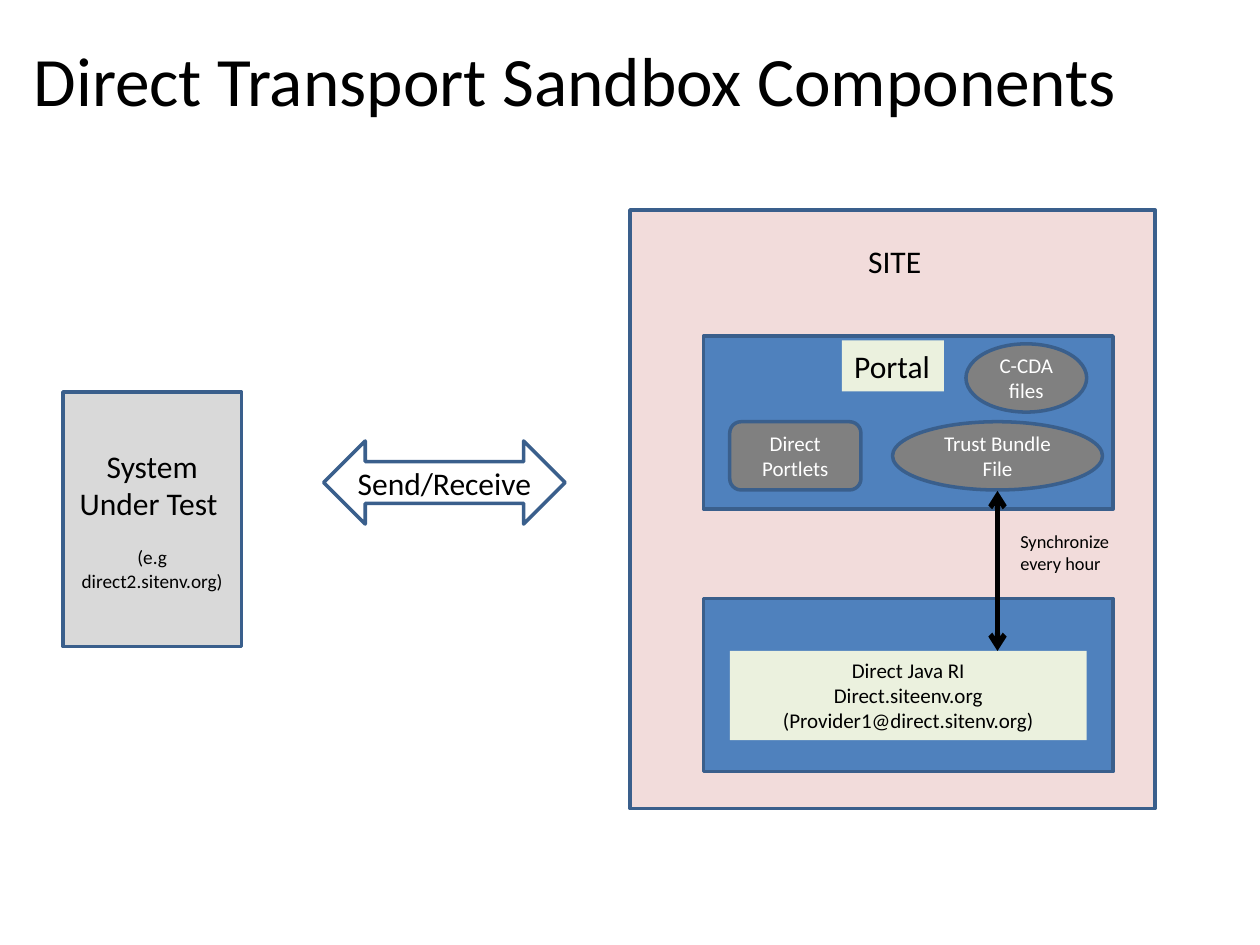
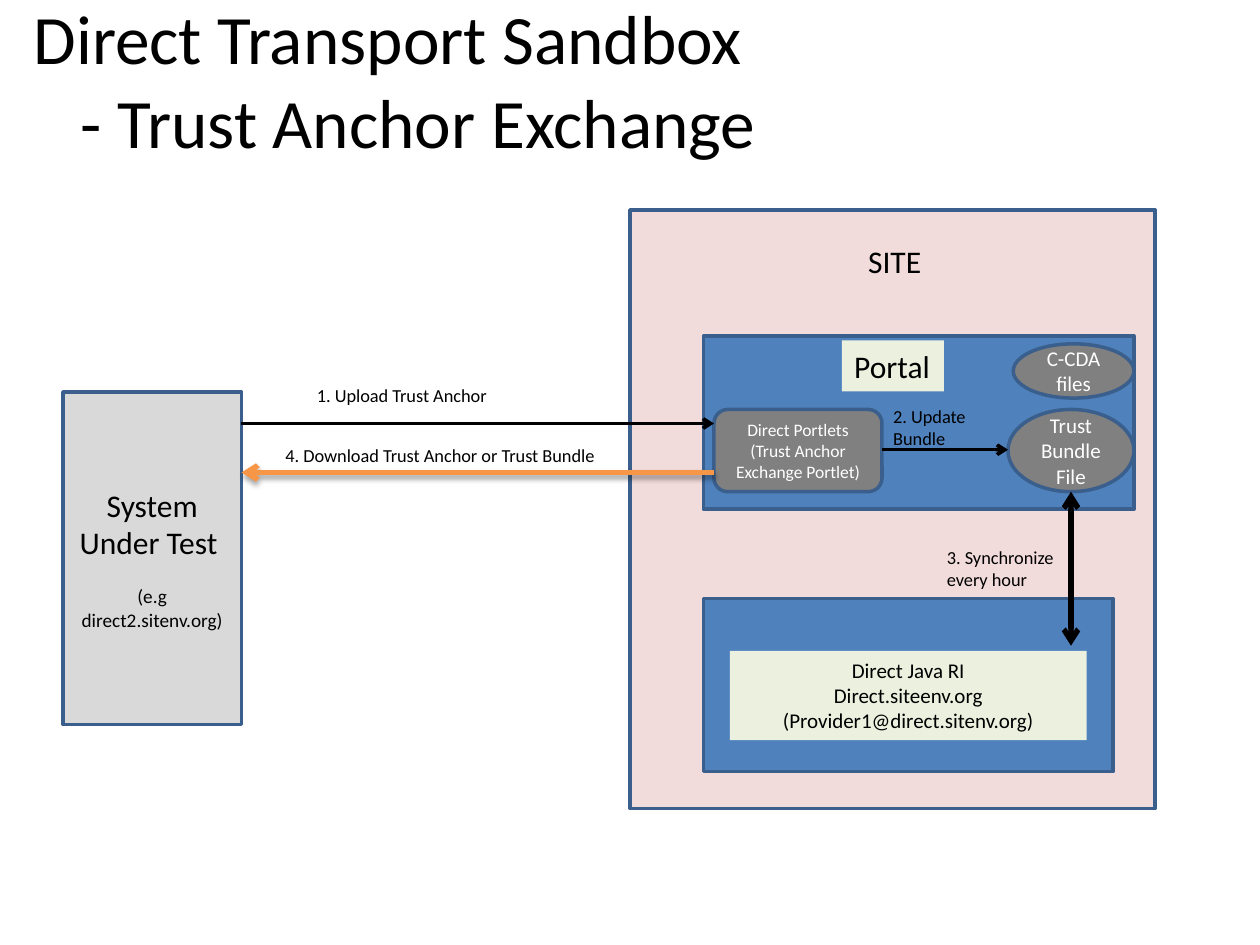
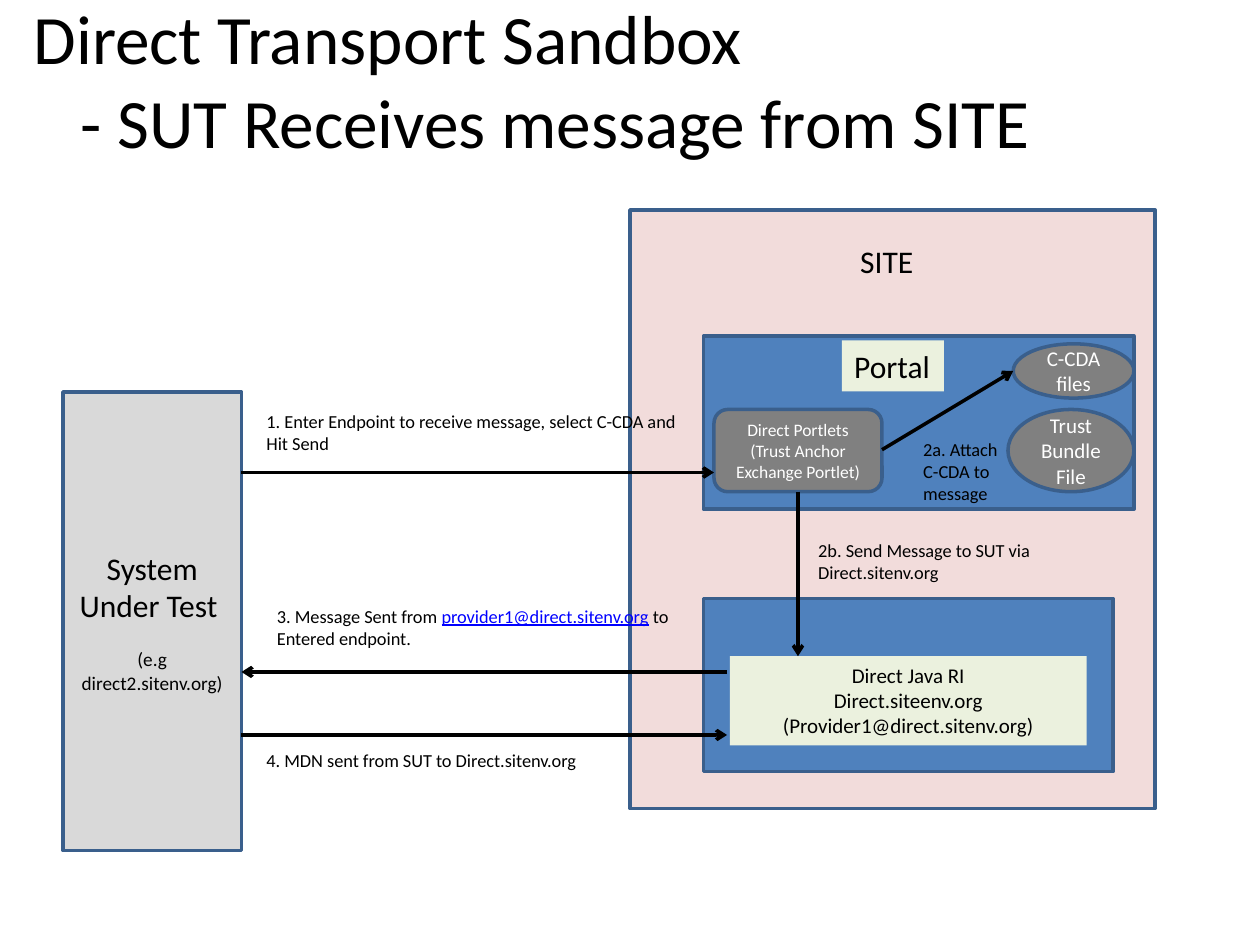
from dataclasses import dataclass
from typing import NamedTuple

from lxml.etree import SubElement
from pptx import Presentation
from pptx.dml.color import RGBColor
from pptx.enum.shapes import MSO_CONNECTOR, MSO_SHAPE
from pptx.enum.text import MSO_ANCHOR, MSO_AUTO_SIZE, PP_ALIGN
from pptx.oxml.ns import qn
from pptx.util import Pt

# Shared look
FONT = "Calibri"
BLACK, WHITE, LINK_BLUE = "000000", "FFFFFF", "0000FF"
OUTLINE, PINK, BLUE = "3A5F8C", "F2DCDB", "4F81BD"
CREAM, GREY, LIGHT_GREY, ORANGE = "EBF1DE", "808080", "D9D9D9", "F79646"
TITLE_SIZE, HEADING_SIZE, BODY_SIZE, NOTE_SIZE = 39.6, 18, 12, 10.5
TITLE_INDENT = 27
SYSTEM_LEFT, SYSTEM_TOP, SYSTEM_WIDTH = 36, 224, 102
SYSTEM_RIGHT = SYSTEM_LEFT + SYSTEM_WIDTH
LINK = "provider1@direct.sitenv.org"


class Area(NamedTuple):
    left: float
    top: float
    width: float
    height: float

    def lengths(self) -> list:
        return [Pt(value) for value in self]


@dataclass
class Box:
    """A filled shape with centred text."""
    area: Area
    fill: str | None = None
    lines: tuple[str, ...] = ()
    kind: MSO_SHAPE = MSO_SHAPE.RECTANGLE
    size: float = BODY_SIZE
    color: str = BLACK
    outlined: bool = True


@dataclass
class Label:
    """A text box that stands free or has a plain fill."""
    area: Area
    lines: tuple[str, ...]
    wrap: bool = True
    size: float = NOTE_SIZE
    fill: str | None = None
    align: PP_ALIGN = PP_ALIGN.LEFT


@dataclass
class Arrow:
    start: tuple[float, float]
    end: tuple[float, float]
    width: float = 2
    color: str = BLACK
    both_ends: bool = False
    shadow: bool = False


@dataclass
class Scene:
    """One slide: what differs between the three diagrams."""
    title: tuple[str, ...]
    system_height: float
    portal_width: float
    portlets: Box
    trust_bundle: Area
    files: Area
    labels: list[Label]
    arrows: list[Arrow]
    java_top: float = 372
    site_label_left: float = 489
    title_width: float = 690
    exchange: Box | None = None


def rgb(color: str) -> RGBColor:
    return RGBColor.from_string(color)


def write_text(shape, lines, size: float, color: str, align: PP_ALIGN) -> None:
    frame = shape.text_frame
    for index, line in enumerate(lines):
        paragraph = frame.paragraphs[0] if index == 0 else frame.add_paragraph()
        paragraph.alignment = align
        paragraph.font.name = FONT
        paragraph.font.size = Pt(size)
        paragraph.font.color.rgb = rgb(color)
        for part in filter(None, line.partition(LINK)):
            run = paragraph.add_run()
            run.text = part
            if part == LINK:
                run.font.color.rgb = rgb(LINK_BLUE)
                run.font.underline = True


def add_title(slide, scene: Scene) -> None:
    title = slide.shapes.title
    title.left, title.top, title.width, title.height = Area(12, 18, scene.title_width, 54).lengths()
    title.text_frame.auto_size = MSO_AUTO_SIZE.NONE
    title.text_frame.vertical_anchor = MSO_ANCHOR.MIDDLE
    write_text(title, scene.title, TITLE_SIZE, BLACK, PP_ALIGN.LEFT)
    for paragraph in title.text_frame.paragraphs:
        paragraph.space_before = Pt(0)
    for paragraph in title.text_frame.paragraphs[1:]:
        paragraph._p.get_or_add_pPr().set("marL", str(Pt(TITLE_INDENT)))


def add_box(slide, box: Box):
    shape = slide.shapes.add_shape(box.kind, *box.area.lengths())
    shape.shadow.inherit = False
    if box.fill:
        shape.fill.solid()
        shape.fill.fore_color.rgb = rgb(box.fill)
    else:
        shape.fill.background()
    shape.line.color.rgb = rgb(OUTLINE)
    shape.line.width = Pt(2)
    shape.text_frame.vertical_anchor = MSO_ANCHOR.MIDDLE
    write_text(shape, box.lines, box.size, box.color, PP_ALIGN.CENTER)
    return shape


def add_label(slide, label: Label) -> None:
    shape = slide.shapes.add_textbox(*label.area.lengths())
    if label.fill:
        shape.fill.solid()
        shape.fill.fore_color.rgb = rgb(label.fill)
    shape.text_frame.word_wrap = label.wrap
    shape.text_frame.auto_size = MSO_AUTO_SIZE.SHAPE_TO_FIT_TEXT
    write_text(shape, label.lines, label.size, BLACK, label.align)


def add_arrow(slide, arrow: Arrow) -> None:
    points = [Pt(value) for value in (*arrow.start, *arrow.end)]
    connector = slide.shapes.add_connector(MSO_CONNECTOR.STRAIGHT, *points)
    connector.line.color.rgb = rgb(arrow.color)
    connector.line.width = Pt(arrow.width)
    line = connector.line._get_or_add_ln()
    for end in ("a:headEnd", "a:tailEnd") if arrow.both_ends else ("a:tailEnd",):
        SubElement(line, qn(end), type="arrow")
    effects = SubElement(connector._element.spPr, qn("a:effectLst"))
    if arrow.shadow:
        shadow = SubElement(effects, qn("a:outerShdw"), blurRad=str(Pt(3.1)),
                            dist=str(Pt(1.8)), dir="5400000", rotWithShape="0")
        color = SubElement(shadow, qn("a:srgbClr"), val=BLACK)
        SubElement(color, qn("a:alpha"), val="35000")


def add_system(slide, height: float) -> None:
    area = Area(SYSTEM_LEFT, SYSTEM_TOP, SYSTEM_WIDTH, height)
    lines = ("System Under Test ", "(e.g direct2.sitenv.org)")
    shape = add_box(slide, Box(area, LIGHT_GREY, lines, size=HEADING_SIZE))
    example = shape.text_frame.paragraphs[1]
    example.font.size = Pt(11)
    example.space_before = Pt(13.4)


def add_site(slide, scene: Scene) -> None:
    # Nested panels
    add_box(slide, Box(Area(360, 120, 300, 342), PINK))
    add_box(slide, Box(Area(402, 192, scene.portal_width, 99), BLUE))
    add_box(slide, Box(Area(402, 342, 234, 99), BLUE))
    # Panel names
    add_label(slide, Label(Area(scene.site_label_left, 134.7, 45.4, 29.1), ("SITE",),
                           wrap=False, size=HEADING_SIZE))
    add_label(slide, Label(Area(481, 194.5, 58.3, 29.1), ("Portal",),
                           wrap=False, size=HEADING_SIZE, fill=CREAM))
    add_label(slide, Label(Area(417, scene.java_top, 204, 51),
                           ("Direct Java RI", "Direct.siteenv.org", "(Provider1@direct.sitenv.org)"),
                           size=BODY_SIZE, fill=CREAM, align=PP_ALIGN.CENTER))
    # Portal contents
    add_box(slide, scene.portlets)
    for area, text in ((scene.trust_bundle, "Trust Bundle File"), (scene.files, "C-CDA files")):
        add_box(slide, Box(area, GREY, (text,), MSO_SHAPE.OVAL, color=WHITE))


def add_scene(presentation, scene: Scene) -> None:
    slide = presentation.slides.add_slide(presentation.slide_layouts[5])
    add_title(slide, scene)
    add_site(slide, scene)
    add_system(slide, scene.system_height)
    if scene.exchange:
        add_box(slide, scene.exchange)
    for arrow in scene.arrows:
        add_arrow(slide, arrow)
    for label in scene.labels:
        add_label(slide, label)


# Portal contents of the two message flow slides
FLOW_PORTLETS = Box(Area(408, 234, 96, 47), GREY,
                    ("Direct Portlets", "(Trust Anchor Exchange Portlet)"),
                    MSO_SHAPE.ROUNDED_RECTANGLE, size=10, color=WHITE)
FLOW_TRUST_BUNDLE = Area(576, 234, 72, 47)
FLOW_FILES = Area(579, 196.5, 69, 31)

SCENES = [
    Scene(
        title=("Direct Transport Sandbox Components",),
        system_height=145.5,
        portal_width=234,
        portlets=Box(Area(417, 241, 75, 39), GREY, ("Direct Portlets",),
                     MSO_SHAPE.ROUNDED_RECTANGLE, color=WHITE),
        trust_bundle=Area(510, 241, 120, 39),
        files=Area(552, 196.5, 69, 39),
        exchange=Box(Area(185, 252, 138, 47.5), None, ("Send/Receive",),
                     MSO_SHAPE.LEFT_RIGHT_ARROW, size=HEADING_SIZE),
        arrows=[Arrow((570, 372), (570, 280.5), width=3, both_ends=True)],
        labels=[Label(Area(576, 299.5, 72, 32.7), ("Synchronize every hour",))],
    ),
    Scene(
        title=("Direct Transport Sandbox", "- Trust Anchor Exchange"),
        system_height=190,
        portal_width=246,
        portlets=FLOW_PORTLETS,
        trust_bundle=FLOW_TRUST_BUNDLE,
        files=FLOW_FILES,
        arrows=[
            Arrow((SYSTEM_RIGHT, 242), (408, 242)),
            Arrow((504, 257), (576, 257)),
            Arrow((612, 369), (612, 281), width=3, both_ends=True),
            Arrow((408, 270), (SYSTEM_RIGHT, 270), width=3, color=ORANGE, shadow=True),
        ],
        labels=[
            Label(Area(174, 216, 114, 20), ("1. Upload Trust Anchor",), wrap=False),
            Label(Area(503.3, 228, 78.5, 32.7), ("2. Update Bundle",)),
            Label(Area(534, 308.5, 84, 32.7), ("3. Synchronize every hour",)),
            Label(Area(156, 250.5, 198, 20), ("4. Download Trust Anchor or Trust Bundle",)),
        ],
    ),
    Scene(
        title=("Direct Transport Sandbox", "- SUT Receives message from SITE"),
        title_width=720,
        system_height=262,
        portal_width=246,
        portlets=FLOW_PORTLETS,
        trust_bundle=FLOW_TRUST_BUNDLE,
        files=FLOW_FILES,
        java_top=375,
        site_label_left=484.5,
        arrows=[
            Arrow((SYSTEM_RIGHT, 270), (408, 270)),
            Arrow((504, 257), (579, 212)),
            Arrow((456, 281), (456, 375)),
            Arrow((415.5, 384), (SYSTEM_RIGHT, 384)),
            Arrow((SYSTEM_RIGHT, 420), (415.5, 420)),
        ],
        labels=[
            Label(Area(145.2, 231, 255.6, 32.7),
                  ("1. Enter Endpoint to receive message, select C-CDA and ", "Hit Send"),
                  wrap=False),
            Label(Area(520.5, 247, 58.5, 45.4), ("2a. Attach C-CDA to message",)),
            Label(Area(460.5, 304.5, 160.5, 32.7),
                  ("2b. Send Message to SUT via Direct.sitenv.org",)),
            Label(Area(151.2, 342, 244, 32.7),
                  (f"3. Message Sent from {LINK} to", "Entered endpoint."), wrap=False),
            Label(Area(145.2, 424.5, 196.5, 20),
                  ("4. MDN sent from SUT to Direct.sitenv.org",), wrap=False),
        ],
    ),
]

presentation = Presentation()
presentation.slide_width, presentation.slide_height = Pt(720), Pt(540)
for scene in SCENES:
    add_scene(presentation, scene)
presentation.save("out.pptx")
